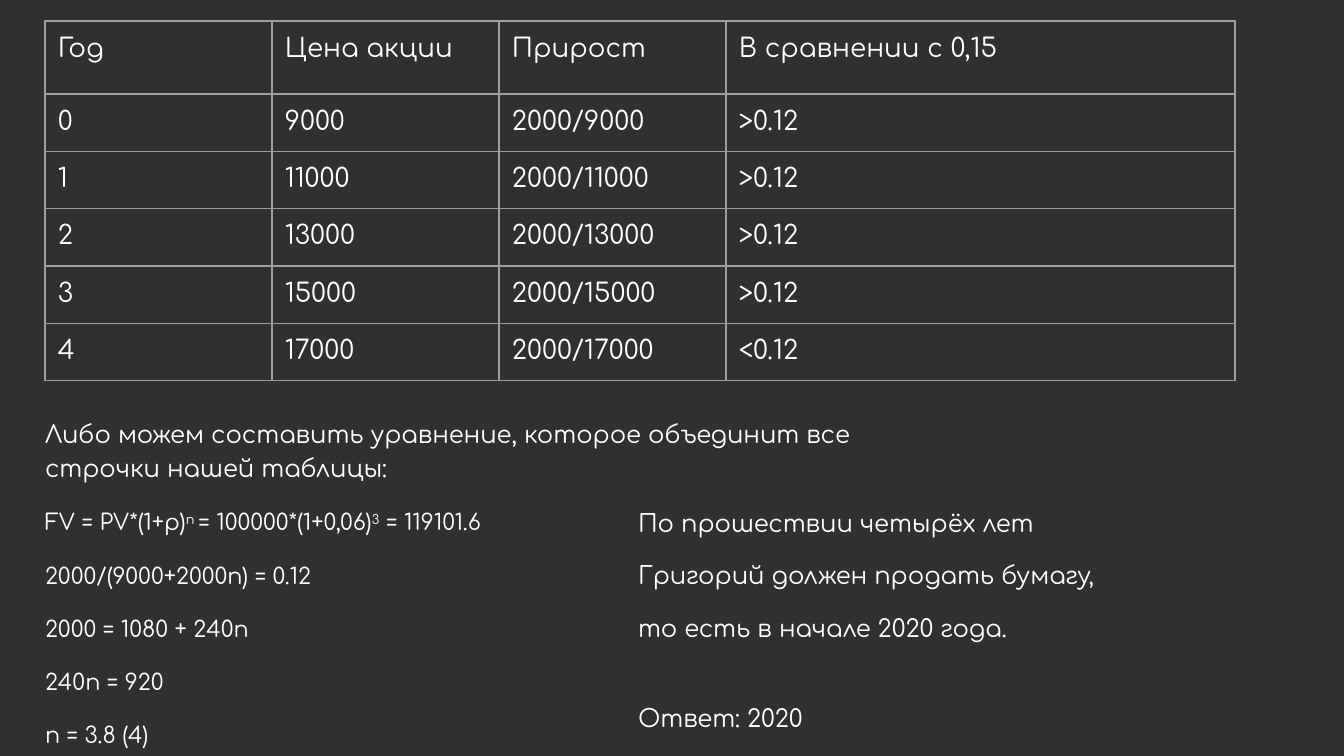
from lxml.etree import SubElement
from pptx import Presentation
from pptx.dml.color import RGBColor
from pptx.oxml import parse_xml
from pptx.oxml.ns import nsdecls, qn
from pptx.util import Pt

SCALE = 914400 / 134.4
FONT = "Comfortaa"
PAD = 13
COLORS = {"back": "303030", "text": "FFFFFF", "grid": "9E9E9E"}

COLS = [227, 227, 227, 509]
ROWS = [73] + [47] * 5
HEAD = ["Год", "Цена акции", "Прирост", "В сравнении с 0,15"]
PRICES = [9000, 11000, 13000, 15000, 17000]
SIGNS = [">", ">", ">", ">", "<"]

INTRO = "Либо можем составить уравнение, которое объединит все строчки нашей таблицы:"
GROWTH = [("FV = PV*(1+p)", False), ("n ", True), ("= 100000*(1+0,06)", False),
          ("3", True), (" = 119101.6", False)]
STEPS = ["2000/(9000+2000n) = 0.12", "2000 = 1080 + 240n", "240n = 920", "n = 3.8 (4)"]
RESULT = ("По прошествии четырёх лет Григорий должен продать бумагу, "
          "то есть в начале 2020 года.")


def px(n):
    return round(n * SCALE)


def color(name):
    return RGBColor.from_string(COLORS[name])


def pad(item):
    item.margin_left = item.margin_right = px(PAD)
    item.margin_top = item.margin_bottom = px(PAD)


def add_run(para, text, size, raised=False):
    run = para.add_run()
    run.text = text
    run.font.name = FONT
    run.font.size = Pt(size)
    run.font.color.rgb = color("text")
    if raised:
        run.font._element.set("baseline", "30000")


def add_text(slide, box, lines, space):
    frame = slide.shapes.add_textbox(*map(px, box)).text_frame
    frame.word_wrap = True
    pad(frame)
    for i, (runs, size, before, after) in enumerate(lines):
        para = frame.add_paragraph() if i else frame.paragraphs[0]
        para.line_spacing = space
        para.space_before = Pt(before)
        para.space_after = Pt(after)
        for text, raised in runs:
            add_run(para, text, size, raised)


def add_grid(cell):
    props = cell._tc.get_or_add_tcPr()
    for i, side in enumerate("LRTB"):
        line = parse_xml(f'<a:ln{side} {nsdecls("a")} w="{Pt(0.75)}"/>')
        fill = SubElement(line, qn("a:solidFill"))
        SubElement(fill, qn("a:srgbClr")).set("val", COLORS["grid"])
        props.insert(i, line)


def add_table(slide, left, top, data):
    table = slide.shapes.add_table(
        len(ROWS), len(COLS), px(left), px(top), px(sum(COLS)), px(sum(ROWS))).table
    table.first_row = table.horz_banding = False
    for col, width in zip(table.columns, COLS):
        col.width = px(width)
    for row, height, texts in zip(table.rows, ROWS, data):
        row.height = px(height)
        for cell, text in zip(row.cells, texts):
            pad(cell)
            cell.fill.background()
            add_grid(cell)
            add_run(cell.text_frame.paragraphs[0], text, 14)


def main():
    deck = Presentation()
    deck.slide_width, deck.slide_height = px(1344), px(756)
    slide = deck.slides.add_slide(deck.slide_layouts[6])
    slide.background.fill.solid()
    slide.background.fill.fore_color.rgb = color("back")

    lines = [([(INTRO, False)], 13, 0, 0), (GROWTH, 12, 12, 0)]
    lines += [([(step, False)], 12, 12, 0) for step in STEPS]
    add_text(slide, (32, 402, 878, 310), lines, 1.15)

    years = [[str(year), str(price), f"2000/{price}", f"{sign}0.12"]
             for year, (price, sign) in enumerate(zip(PRICES, SIGNS))]
    add_table(slide, 45, 21, [HEAD] + years)

    lines = [([(RESULT, False)], 13, 0, 0), ([("Ответ: 2020", False)], 13, 20, 20)]
    add_text(slide, (625, 472, 497, 253), lines, 1.8)
    deck.save("out.pptx")


if __name__ == "__main__":
    main()
